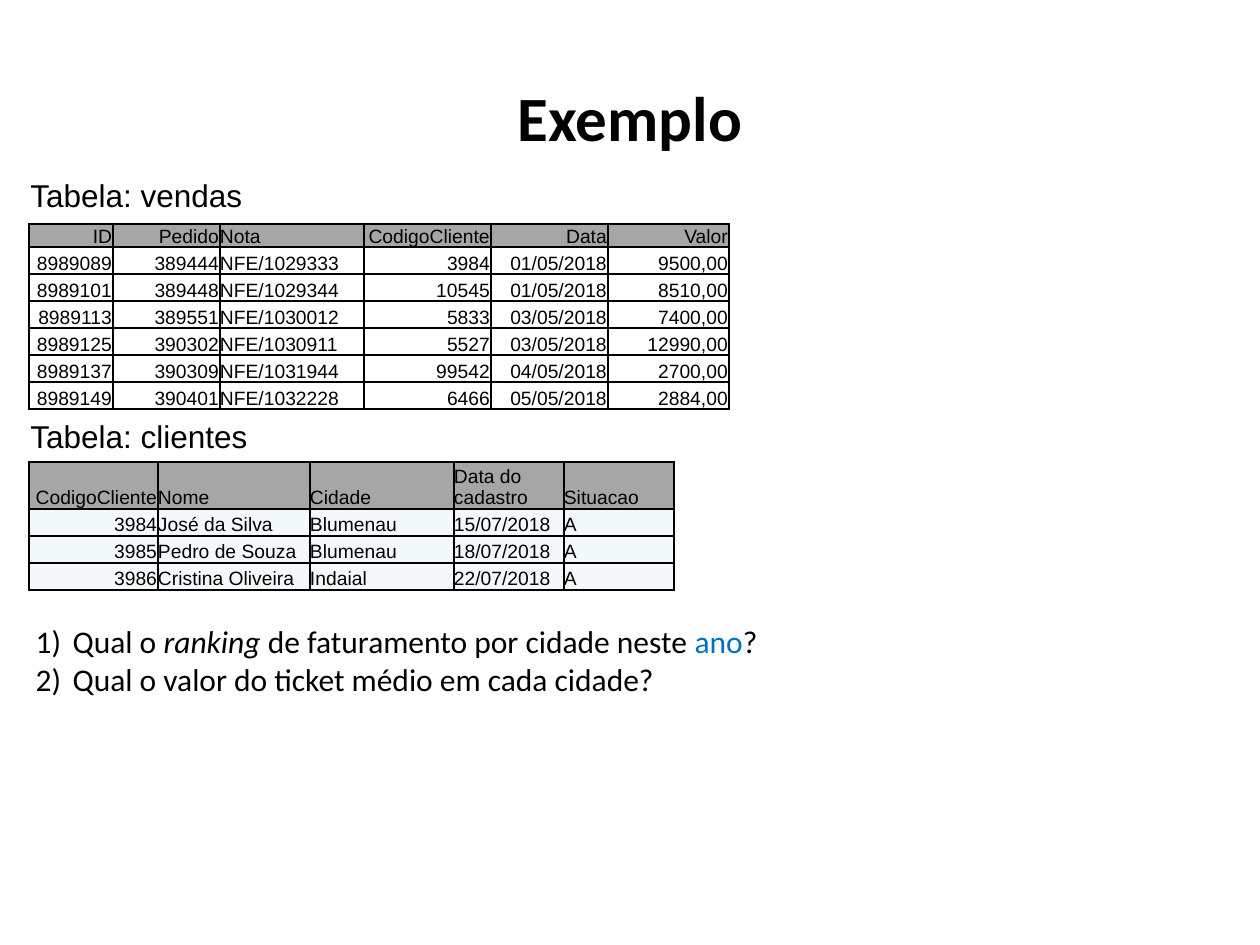
import pptx
import pptx.util
import pptx.dml.color
import pptx.enum.text
import pptx.oxml
import pptx.oxml.ns

RGBColor = pptx.dml.color.RGBColor
BLACK = RGBColor(0x00, 0x00, 0x00)
GREY = RGBColor(0xA6, 0xA6, 0xA6)
PALE = RGBColor(0xF3, 0xF9, 0xFA)
BLUE = RGBColor(0x00, 0x70, 0xC0)

SCALE = pptx.util.Inches(1) / 126
ALIGN = pptx.enum.text.PP_ALIGN
ANCHOR = pptx.enum.text.MSO_ANCHOR
FIT = pptx.enum.text.MSO_AUTO_SIZE.SHAPE_TO_FIT_TEXT

SALES = [
    ("ID", "Pedido", "Nota", "CodigoCliente", "Data", "Valor"),
    ("8989089", "389444", "NFE/1029333", "3984", "01/05/2018", "9500,00"),
    ("8989101", "389448", "NFE/1029344", "10545", "01/05/2018", "8510,00"),
    ("8989113", "389551", "NFE/1030012", "5833", "03/05/2018", "7400,00"),
    ("8989125", "390302", "NFE/1030911", "5527", "03/05/2018", "12990,00"),
    ("8989137", "390309", "NFE/1031944", "99542", "04/05/2018", "2700,00"),
    ("8989149", "390401", "NFE/1032228", "6466", "05/05/2018", "2884,00"),
]
CLIENTS = [
    ("CodigoCliente", "Nome", "Cidade", "Data do cadastro", "Situacao"),
    ("3984", "José da Silva", "Blumenau", "15/07/2018", "A"),
    ("3985", "Pedro de Souza", "Blumenau", "18/07/2018", "A"),
    ("3986", "Cristina Oliveira", "Indaial", "22/07/2018", "A"),
]
ASKS = [
    [("Qual o ", {}), ("ranking", {"italic": True}),
     (" de faturamento por cidade neste ", {}), ("ano", {"color": BLUE}),
     ("?", {})],
    [("Qual o valor do ticket médio em cada cidade?", {})],
]


def px(num):
    return pptx.util.Emu(round(num * SCALE))


def put(obj, vals):
    for name, val in vals.items():
        setattr(obj, name, val)


def place(shape, *box):
    put(shape, dict(zip(("left", "top", "width", "height"), map(px, box))))


def add_run(para, text, size, face, color=BLACK, **vals):
    run = para.add_run()
    run.text = text
    put(run.font, {"size": pptx.util.Pt(size), "name": face, **vals})
    run.font.color.rgb = color


def add_label(slide, text, top):
    box = slide.shapes.add_textbox(px(18), px(top), px(367), px(50))
    put(box.text_frame, {"word_wrap": True, "auto_size": FIT})
    add_run(box.text_frame.paragraphs[0], text, 18, "Arial")


def add_edges(cell):
    props = cell._tc.get_or_add_tcPr()
    for side in "LRTB":
        props.append(pptx.oxml.parse_xml(
            f'<a:ln{side} {pptx.oxml.ns.nsdecls("a")} w="12700"><a:solidFill>'
            f'<a:srgbClr val="{BLACK}"/></a:solidFill></a:ln{side}>'))


def fill_cell(cell, text, align, color):
    put(cell, {"vertical_anchor": ANCHOR.BOTTOM, "margin_left": 0,
               "margin_right": px(1), "margin_top": 0, "margin_bottom": 0})
    para = cell.text_frame.paragraphs[0]
    para.alignment = align
    add_run(para, text, 11, "Arial")
    add_edges(cell)
    if color is None:
        cell.fill.background()
    else:
        cell.fill.solid()
        cell.fill.fore_color.rgb = color


def add_grid(slide, rows, top, widths, heads, left_cols, color=None):
    highs = [heads] + [27] * (len(rows) - 1)
    grid = slide.shapes.add_table(
        len(rows), len(widths), px(29), px(top),
        px(sum(widths)), px(sum(highs))).table
    put(grid, {"first_row": False, "horz_banding": False})
    for col, width in zip(grid.columns, widths):
        col.width = px(width)
    for row, high in zip(grid.rows, highs):
        row.height = px(high)
    for i, row in enumerate(rows):
        for j, text in enumerate(row):
            align = ALIGN.LEFT if j in left_cols else ALIGN.RIGHT
            fill_cell(grid.cell(i, j), text, align, color if i else GREY)


def set_title(slide, text):
    title = slide.shapes.title
    place(title, 63, 37, 1134, 158)
    title.text_frame.vertical_anchor = ANCHOR.MIDDLE
    para = title.text_frame.paragraphs[0]
    para.alignment = ALIGN.CENTER
    add_run(para, text, 36, "Calibri", bold=True)


def set_list(slide, items):
    body = slide.placeholders[1]
    place(body, 23, 616, 756, 89)
    frame = body.text_frame
    put(frame, {"word_wrap": False, "auto_size": FIT})
    for i, item in enumerate(items):
        para = frame.add_paragraph() if i else frame.paragraphs[0]
        put(para, {"space_before": pptx.util.Pt(0), "alignment": ALIGN.LEFT})
        props = para._p.get_or_add_pPr()
        props.set("marL", str(px(37)))
        props.set("indent", str(px(-37)))
        for mark in ('buFont {} typeface="+mj-lt"',
                     'buAutoNum {} type="arabicParenR"'):
            text = mark.format(pptx.oxml.ns.nsdecls("a"))
            props.append(pptx.oxml.parse_xml(f"<a:{text}/>"))
        for text, vals in item:
            add_run(para, text, 18, "Calibri", **vals)


def main():
    deck = pptx.Presentation()
    put(deck, {"slide_width": px(1260), "slide_height": px(945)})
    slide = deck.slides.add_slide(deck.slide_layouts[1])

    set_title(slide, "Exemplo")

    # Sales
    add_label(slide, "Tabela: vendas", 170)
    add_grid(slide, SALES, 224, (84, 107, 144, 127, 117, 121), 22, {2})

    # Clients
    add_label(slide, "Tabela: clientes", 411)
    add_grid(slide, CLIENTS, 462, (129, 152, 144, 110, 110), 47,
             {1, 2, 3, 4}, PALE)

    # Questions
    set_list(slide, ASKS)
    deck.save("out.pptx")


if __name__ == "__main__":
    main()
